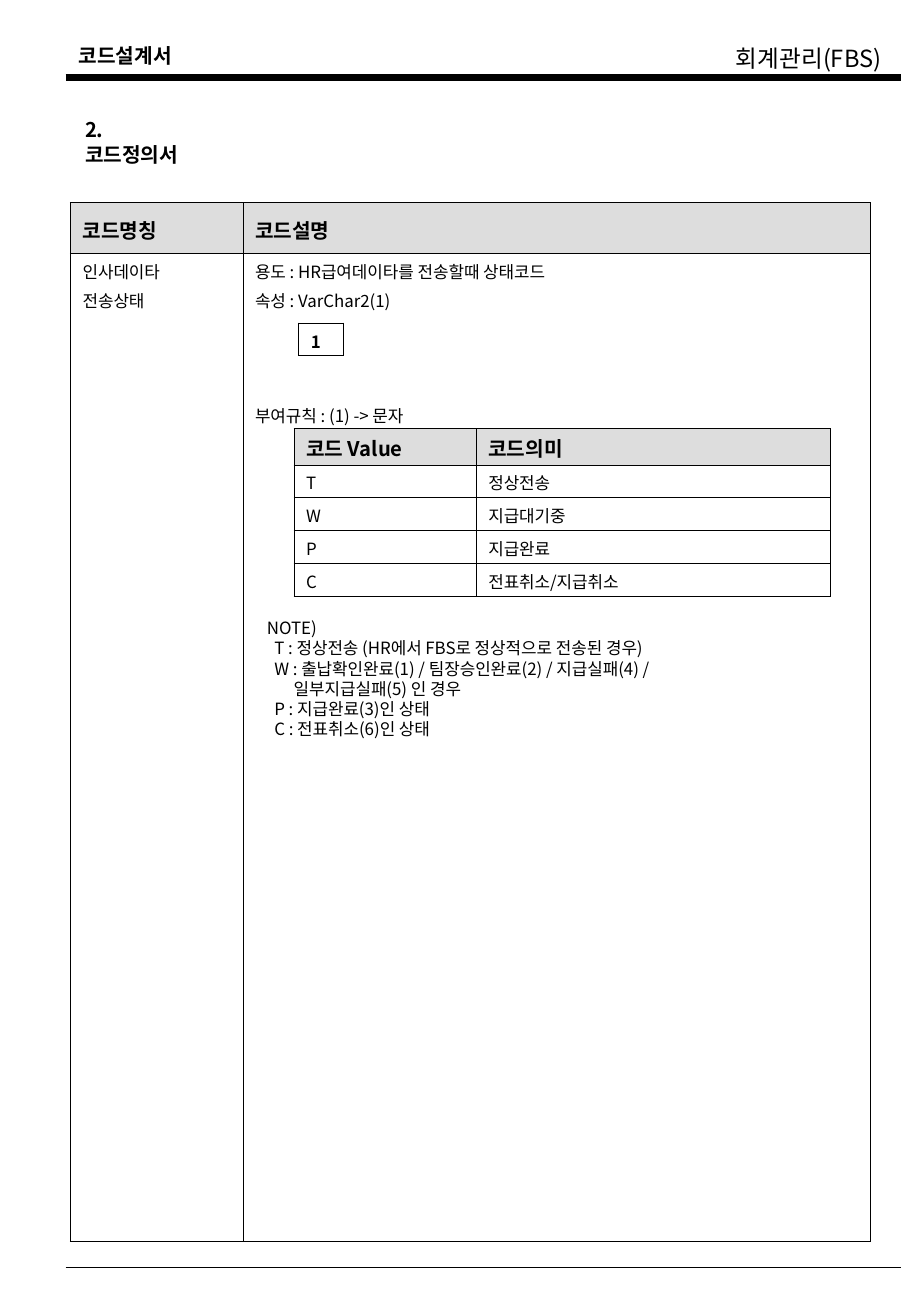
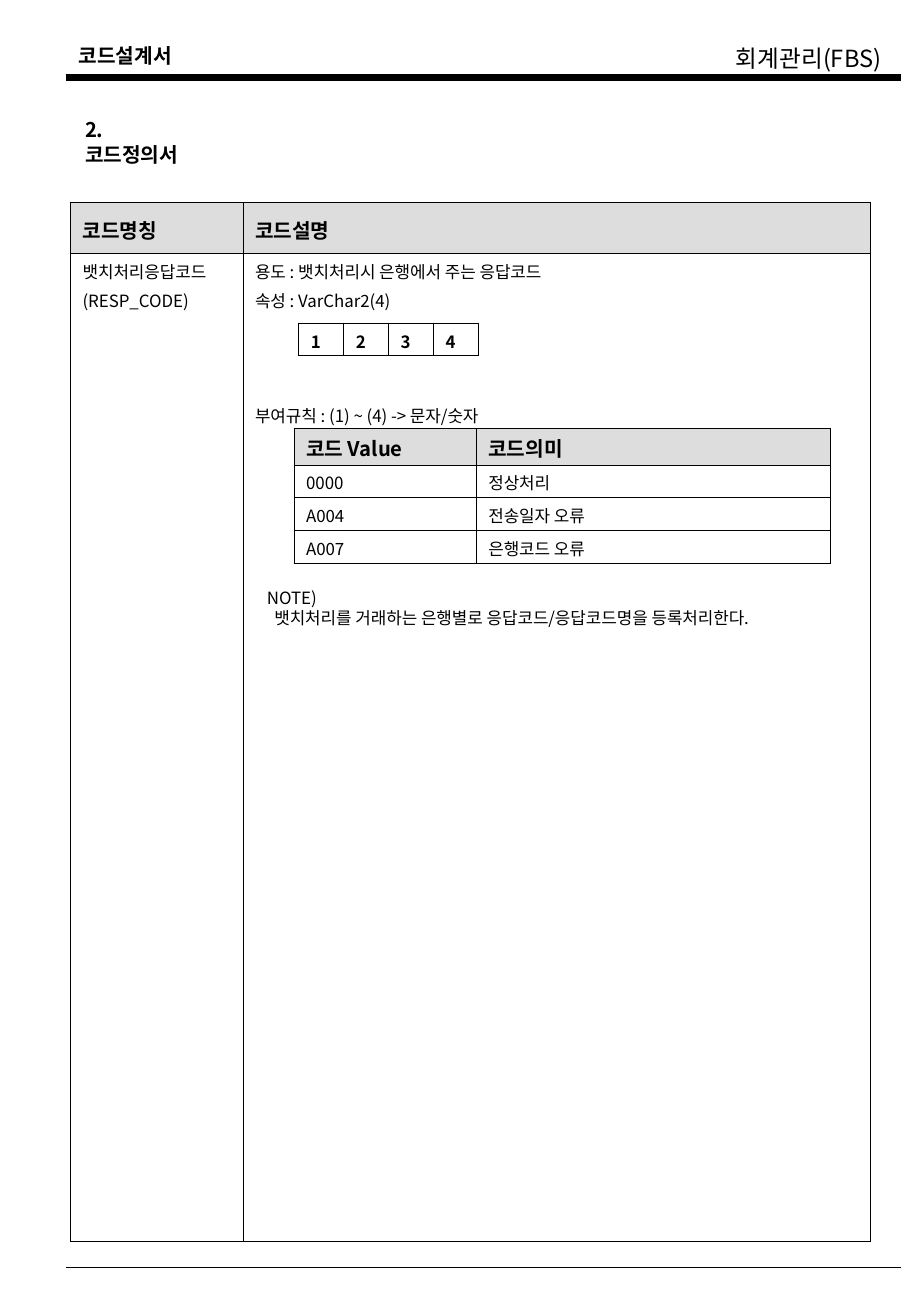
import pptx
import pptx.dml.color
import pptx.enum.shapes
import pptx.enum.text
import pptx.oxml.ns
import pptx.util
from lxml import etree
from pptx.util import Inches, Pt

BLACK = pptx.dml.color.RGBColor(0x00, 0x00, 0x00)
HEADER_GREY = pptx.dml.color.RGBColor(0xDD, 0xDD, 0xDD)
FONT = "Noto Sans CJK KR"
LINE_HEIGHT = 1.2
HEADING_SIZE, BODY_SIZE = 12, 10
qn = pptx.oxml.ns.qn


def write_text(text_frame, lines, size, bold=False, gaps=()):
    """Fill a frame with one paragraph per line; gaps are the spaces before each."""
    text_frame.text = "\n".join(lines)
    for index, paragraph in enumerate(text_frame.paragraphs):
        paragraph.alignment = pptx.enum.text.PP_ALIGN.LEFT
        paragraph.line_spacing = Pt(size * LINE_HEIGHT)
        paragraph.space_before = Pt(gaps[index] if index < len(gaps) else 0)
        for run in paragraph.runs:
            run.font.name = FONT
            run.font.size = Pt(size)
            run.font.bold = bold
            run.font.color.rgb = BLACK
            east_asian = etree.SubElement(run.font._element, qn("a:ea"))
            east_asian.set("typeface", FONT)


def add_grid(slide, left, top, widths, heights, outer=0.45, inner=0.45):
    """Add an unfilled table with ruled cells."""
    frame = slide.shapes.add_table(
        len(heights), len(widths), Inches(left), Inches(top),
        Inches(sum(widths)), Inches(sum(heights)))
    table = frame.table
    table.first_row = table.horz_banding = False
    for column, width in zip(table.columns, widths):
        column.width = Inches(width)
    for row, height in zip(table.rows, heights):
        row.height = Inches(height)
    last_row, last_column = len(heights) - 1, len(widths) - 1
    for row_index, row in enumerate(table.rows):
        for column_index, cell in enumerate(row.cells):
            cell.margin_top, cell.margin_bottom = Inches(0.08), Inches(0.02)
            on_edge = {"L": column_index == 0, "R": column_index == last_column,
                       "T": row_index == 0, "B": row_index == last_row}
            properties = cell._tc.get_or_add_tcPr()
            for side, is_outer in on_edge.items():
                border = etree.SubElement(properties, qn(f"a:ln{side}"))
                border.set("w", str(Pt(outer if is_outer else inner)))
                fill = etree.SubElement(border, qn("a:solidFill"))
                etree.SubElement(fill, qn("a:srgbClr")).set("val", str(BLACK))
            cell.fill.background()
    return table


CODE_PAGES = [
    {
        "name": ["인사데이타", "전송상태"],
        "description": ["용도 : HR급여데이타를 전송할때 상태코드",
                        "속성 : VarChar2(1)",
                        "부여규칙 : (1) -> 문자"],
        "digits": 1,
        "values": [("T", "정상전송"), ("W", "지급대기중"), ("P", "지급완료"),
                   ("C", "전표취소/지급취소")],
        "note_top": 5.04,
        "note": ["T : 정상전송 (HR에서 FBS로 정상적으로 전송된 경우)",
                 "W : 출납확인완료(1) / 팀장승인완료(2) / 지급실패(4) /\v일부지급실패(5) 인 경우",
                 "P : 지급완료(3)인 상태",
                 "C : 전표취소(6)인 상태"],
    },
    {
        "name": ["뱃치처리응답코드", "(RESP_CODE)"],
        "description": ["용도 : 뱃치처리시 은행에서 주는 응답코드",
                        "속성 : VarChar2(4)",
                        "부여규칙 : (1) ~ (4) -> 문자/숫자"],
        "digits": 4,
        "values": [("0000", "정상처리"), ("A004", "전송일자 오류"),
                   ("A007", "은행코드 오류")],
        "note_top": 4.79,
        "note": ["뱃치처리를 거래하는 은행별로 응답코드/응답코드명을 등록처리한다."],
    },
]

presentation = pptx.Presentation()
presentation.slide_width, presentation.slide_height = Inches(7.5), Inches(10.84)

# Shared layout: title position, no footer placeholders
layout = presentation.slide_layouts[5]
for placeholder in list(layout.placeholders):
    if placeholder.placeholder_format.idx == 0:
        placeholder.left, placeholder.top = Inches(0.6), Inches(0.92)
        placeholder.width, placeholder.height = Inches(1.1), Inches(0.5)
    else:
        placeholder.element.getparent().remove(placeholder.element)

slides = [presentation.slides.add_slide(layout) for page in CODE_PAGES]

# Shared header texts and rules, moved into the layout
shared_shapes = []
for text, left, top, width, height, size, bold in [
        ("코드설계서", 0.55, 0.31, 1.3, 0.3, 12, True),
        ("회계관리(FBS)", 5.96, 0.31, 1.5, 0.34, 14, False)]:
    header = slides[0].shapes.add_textbox(
        Inches(left), Inches(top), Inches(width), Inches(height))
    header.text_frame.word_wrap = True
    write_text(header.text_frame, [text], size, bold)
    shared_shapes.append(header)
for top, weight in [(0.64, 4.5), (10.44, 1)]:
    rule = slides[0].shapes.add_connector(
        pptx.enum.shapes.MSO_CONNECTOR.STRAIGHT,
        Inches(0.54), Inches(top), Inches(7.42), Inches(top))
    rule.line.color.rgb = BLACK
    rule.line.width = Pt(weight)
    etree.SubElement(rule.element.spPr, qn("a:effectLst"))
    shared_shapes.append(rule)
for shape in shared_shapes:
    layout.shapes.element.append(shape.element)

for slide, page in zip(slides, CODE_PAGES):
    # Title
    title_frame = slide.shapes.title.text_frame
    title_frame.word_wrap = True
    title_frame.auto_size = pptx.enum.text.MSO_AUTO_SIZE.NONE
    title_frame.vertical_anchor = pptx.enum.text.MSO_ANCHOR.TOP
    write_text(title_frame, ["2. 코드정의서"], HEADING_SIZE, True)

    # Code definition and code value tables
    definition = add_grid(slide, 0.58, 1.67, [1.42, 5.17], [0.42, 8.14], outer=0.75)
    values = add_grid(slide, 2.42, 3.53, [1.5, 2.92],
                      [0.3] + [0.27] * len(page["values"]))
    for table, headings in [(definition, ["코드명칭", "코드설명"]),
                            (values, ["코드 Value", "코드의미"])]:
        for cell, heading in zip(table.rows[0].cells, headings):
            cell.fill.solid()
            cell.fill.fore_color.rgb = HEADER_GREY
            cell.vertical_anchor = pptx.enum.text.MSO_ANCHOR.MIDDLE
            write_text(cell.text_frame, [heading], HEADING_SIZE, True)
    write_text(definition.cell(1, 0).text_frame, page["name"], BODY_SIZE, gaps=(0, 5))
    write_text(definition.cell(1, 1).text_frame, page["description"], BODY_SIZE,
               gaps=(0, 5, 56))
    for row_index, entry in enumerate(page["values"], start=1):
        for column_index, text in enumerate(entry):
            write_text(values.cell(row_index, column_index).text_frame, [text], BODY_SIZE)

    # Digit boxes
    digits = add_grid(slide, 2.46, 2.66, [0.37] * page["digits"], [0.27])
    for number, cell in enumerate(digits.rows[0].cells, start=1):
        cell.vertical_anchor = pptx.enum.text.MSO_ANCHOR.MIDDLE
        write_text(cell.text_frame, [str(number)], BODY_SIZE, True)

    # Note with hanging indents
    line_count = 1 + sum(1 + line.count("\v") for line in page["note"])
    note = slide.shapes.add_textbox(
        Inches(2.1), Inches(page["note_top"]), Inches(4.8),
        Inches(0.1) + Pt(line_count * BODY_SIZE * LINE_HEIGHT))
    note.text_frame.word_wrap = True
    write_text(note.text_frame, ["NOTE)"] + page["note"], BODY_SIZE)
    for paragraph in note.text_frame.paragraphs[1:]:
        properties = paragraph._p.get_or_add_pPr()
        properties.set("marL", str(Inches(0.22)))
        properties.set("indent", str(Inches(-0.16)))

presentation.save("out.pptx")
